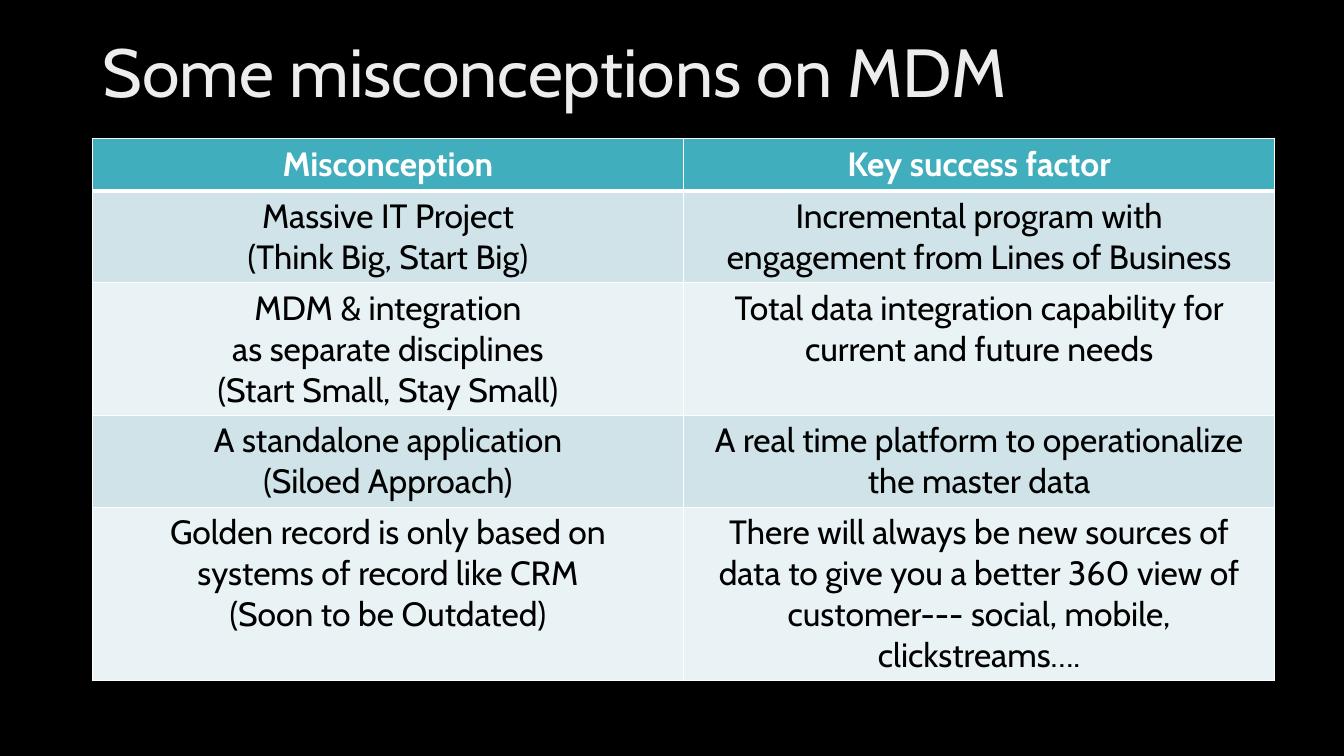
from typing import NamedTuple

from pptx import Presentation
from pptx.dml.color import RGBColor
from pptx.enum.text import MSO_ANCHOR, MSO_AUTO_SIZE, PP_ALIGN
from pptx.oxml import parse_xml
from pptx.oxml.ns import nsdecls
from pptx.util import Emu, Pt

PX = 9525
FONT = "Cabin"
BLACK = RGBColor(0x00, 0x00, 0x00)
WHITE = RGBColor(0xFF, 0xFF, 0xFF)
SILVER = RGBColor(0xED, 0xED, 0xED)
TEAL = RGBColor(0x41, 0xAE, 0xBD)
BANDS = (RGBColor(0xCF, 0xE3, 0xE8), RGBColor(0xE9, 0xF2, 0xF4))
COLUMN_WIDTH = 563


class Row(NamedTuple):
    height: int
    misconception: str
    factor: str


ROWS = [
    Row(50, "Misconception", "Key success factor"),
    Row(86, "Massive IT Project\n(Think Big, Start Big)",
        "Incremental program with\nengagement from Lines of Business"),
    Row(124, "MDM & integration\nas separate disciplines\n(Start Small, Stay Small)",
        "Total data integration capability for\ncurrent and future needs"),
    Row(86, "A standalone application\n(Siloed Approach)",
        "A real time platform to operationalize\nthe master data"),
    Row(161, "Golden record is only based on\nsystems of record like CRM\n(Soon to be Outdated)",
        "There will always be new sources of\ndata to give you a better 360 view of\n"
        "customer--- social, mobile,\nclickstreams…."),
]


def px(n: int) -> Emu:
    return Emu(n * PX)


def apply(target, formats: dict) -> None:
    for name, value in formats.items():
        setattr(target, name, value)


def style_font(font, size: float, color: RGBColor, bold: bool = False) -> None:
    apply(font, {"name": FONT, "size": Pt(size), "bold": bold})
    font.color.rgb = color


def add_borders(cell, top: int, bottom: int) -> None:
    tcPr = cell._tc.get_or_add_tcPr()
    widths = {"lnL": 1, "lnR": 1, "lnT": top, "lnB": bottom}
    for i, (tag, width) in enumerate(widths.items()):
        tcPr.insert(i, parse_xml(
            f'<a:{tag} {nsdecls("a")} w="{Pt(width)}"><a:solidFill>'
            f'<a:srgbClr val="{WHITE}"/></a:solidFill></a:{tag}>'))


def fill_cell(cell, text: str, row: int) -> None:
    header = row == 0
    cell.fill.solid()
    cell.fill.fore_color.rgb = TEAL if header else BANDS[(row - 1) % 2]
    add_borders(cell, 3 if row == 1 else 1, 3 if header else 1)
    cell.text = text
    for p in cell.text_frame.paragraphs:
        p.alignment = PP_ALIGN.CENTER
        for r in p.runs:
            style_font(r.font, 24, WHITE if header else BLACK, header)


def add_title(slide, text: str) -> None:
    sp = slide.shapes.title
    apply(sp, {"left": px(88), "top": px(38), "width": px(1104), "height": px(73)})
    tf = sp.text_frame
    tf.text = text
    apply(tf, {"auto_size": MSO_AUTO_SIZE.NONE, "word_wrap": True,
               "vertical_anchor": MSO_ANCHOR.MIDDLE})
    p = tf.paragraphs[0]
    apply(p, {"alignment": PP_ALIGN.LEFT, "line_spacing": 0.8})
    style_font(p.runs[0].font, 48.6, SILVER)


def add_comparison(slide) -> None:
    table = slide.shapes.add_table(
        len(ROWS), 2, px(88), px(132), px(2 * COLUMN_WIDTH),
        px(sum(row.height for row in ROWS))).table
    for column in table.columns:
        column.width = px(COLUMN_WIDTH)
    for i, row in enumerate(ROWS):
        table.rows[i].height = px(row.height)
        for j, text in enumerate((row.misconception, row.factor)):
            fill_cell(table.cell(i, j), text, i)


def main() -> None:
    prs = Presentation()
    apply(prs, {"slide_width": px(1280), "slide_height": px(720)})
    slide = prs.slides.add_slide(prs.slide_layouts[5])
    slide.background.fill.solid()
    slide.background.fill.fore_color.rgb = BLACK
    add_title(slide, "Some misconceptions on MDM")
    add_comparison(slide)
    prs.save("out.pptx")


if __name__ == "__main__":
    main()
